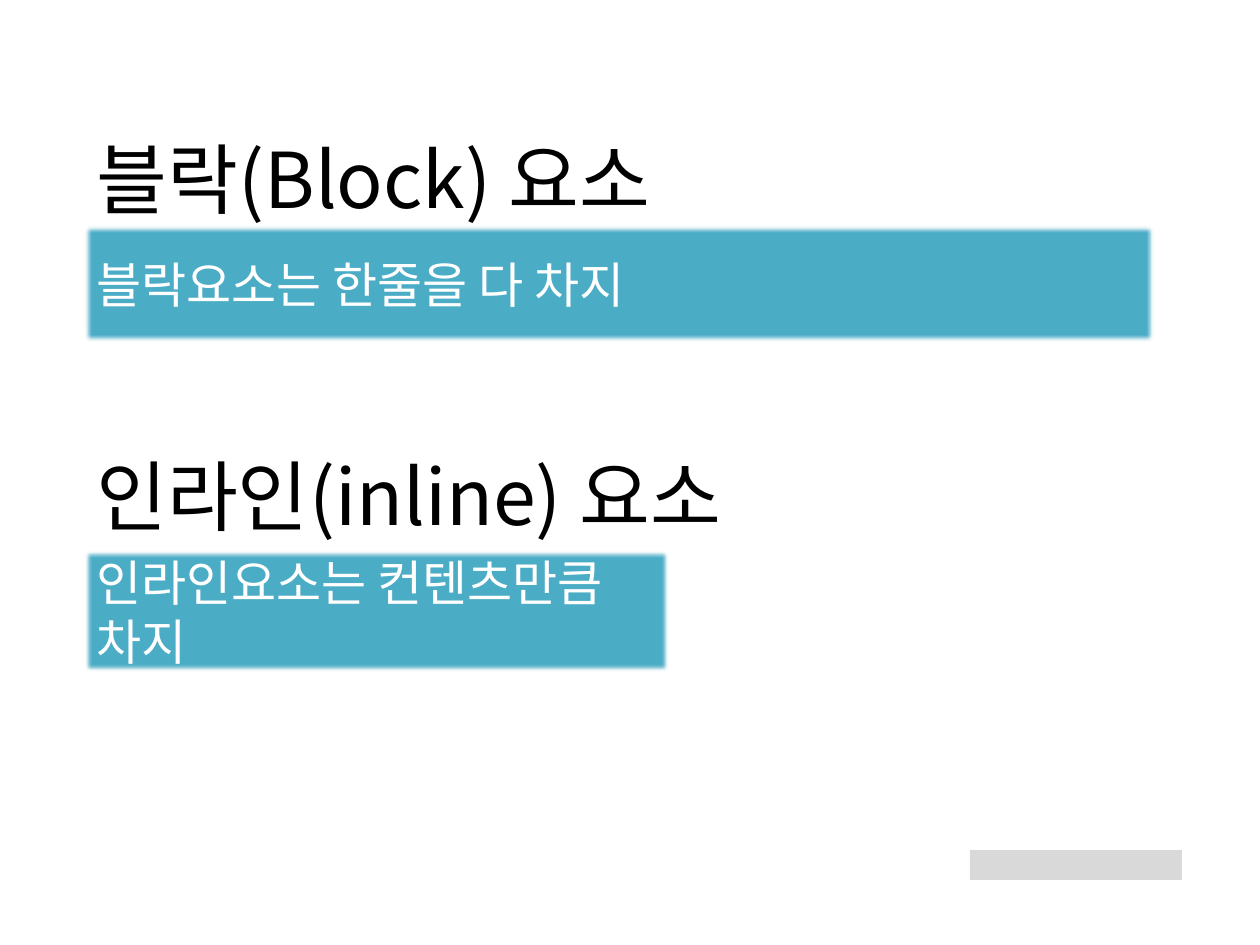
"""Build a slide comparing block and inline elements."""
from lxml import etree
from pptx import Presentation
from pptx.dml.color import RGBColor
from pptx.enum.shapes import MSO_SHAPE
from pptx.enum.text import MSO_ANCHOR, MSO_AUTO_SIZE, PP_ALIGN
from pptx.oxml.ns import qn
from pptx.util import Pt

RECTANGLE = MSO_SHAPE.RECTANGLE
MIDDLE = MSO_ANCHOR.MIDDLE
NO_FIT = MSO_AUTO_SIZE.NONE
LEFT = PP_ALIGN.LEFT
PX = 914400 / 126
FONT = "Noto Sans CJK KR"
TEAL, BLACK, WHITE, GRAY = "4BACC6", "000000", "FFFFFF", "D9D9D9"


def write(box, text, size, value):
    frame = box.text_frame
    frame.word_wrap = True
    frame.auto_size = NO_FIT
    frame.vertical_anchor = MIDDLE
    paragraph = frame.paragraphs[0]
    paragraph.text = text
    paragraph.alignment = LEFT
    font = paragraph.font
    font.size = Pt(size)
    font.name = FONT
    font.color.rgb = RGBColor.from_string(value)
    latin = paragraph._p.pPr.find(qn("a:defRPr")).find(qn("a:latin"))
    latin.addnext(etree.Element(qn("a:ea"), typeface=FONT))


def add_bar(page, bounds, value):
    bar = page.shapes.add_shape(RECTANGLE, *(round(length * PX) for length in bounds))
    bar.shadow.inherit = False
    bar.fill.solid()
    bar.fill.fore_color.rgb = RGBColor.from_string(value)
    bar.line.fill.background()
    return bar


deck = Presentation()
deck.slide_width, deck.slide_height = round(1260 * PX), round(945 * PX)
page = deck.slides.add_slide(deck.slide_layouts[0])
subtitle = page.placeholders[1]
subtitle.element.getparent().remove(subtitle.element)

left, width, heading_height = round(84 * PX), round(1071 * PX), round(203 * PX)
block_heading = page.shapes.title
block_heading.left, block_heading.top = left, round(76 * PX)
block_heading.width, block_heading.height = width, heading_height
write(block_heading, "블락(Block) 요소", 44, BLACK)

inline_heading = page.shapes.add_textbox(left, round(393 * PX), width, heading_height)
write(inline_heading, "인라인(inline) 요소", 44, BLACK)

for bounds, text in (
    ((84, 225, 1071, 118), "블락요소는 한줄을 다 차지"),
    ((84, 550, 586, 123), "인라인요소는 컨텐츠만큼 차지"),
):
    bar = add_bar(page, bounds, TEAL)
    effects = bar._element.spPr.find(qn("a:effectLst"))
    etree.SubElement(effects, qn("a:softEdge"), rad="31750")
    write(bar, text, 28, WHITE)

add_bar(page, (970, 850, 212, 30), GRAY)

deck.save("out.pptx")
